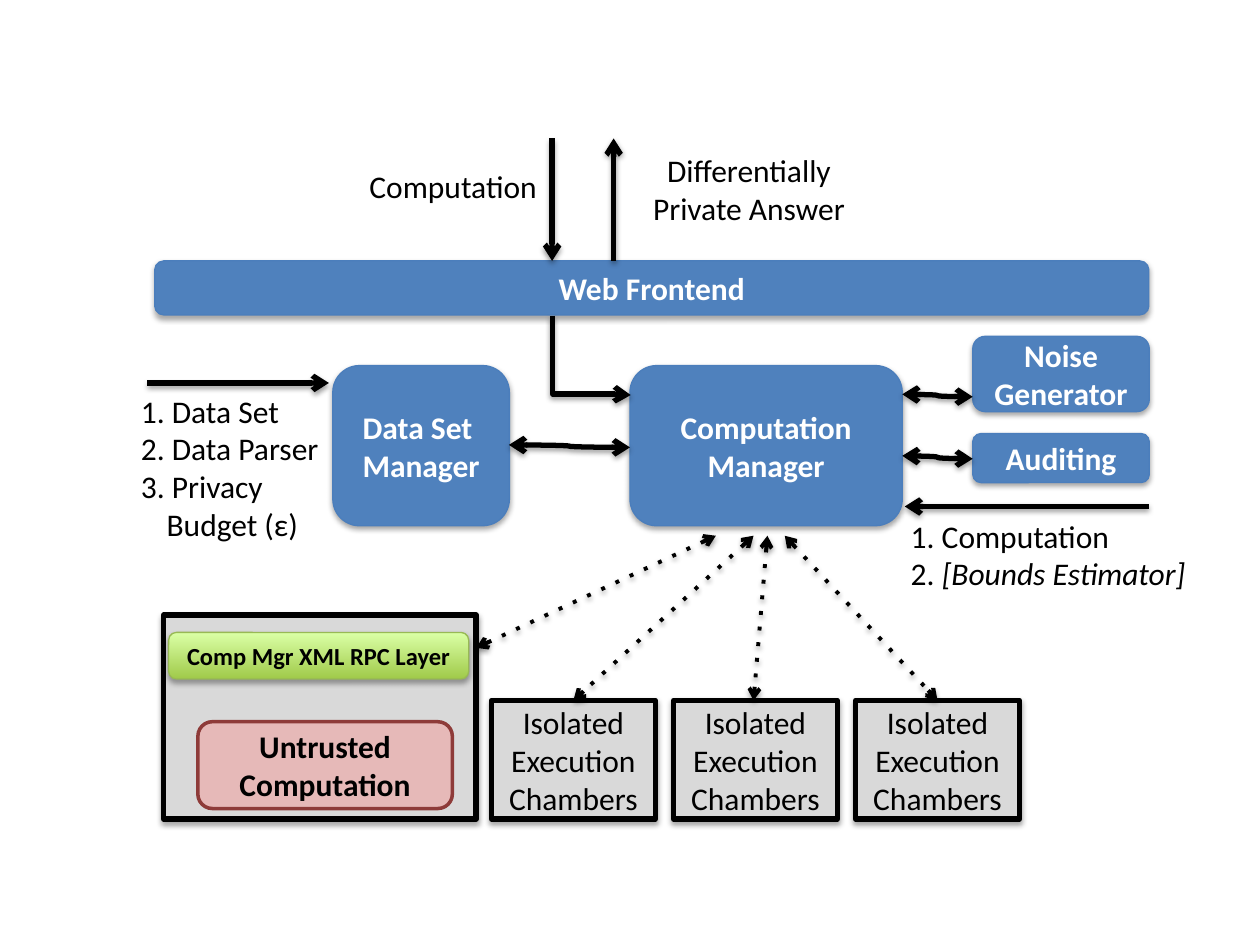
from dataclasses import dataclass
from typing import Any

from lxml import etree
from pptx import Presentation
from pptx.dml.color import RGBColor
from pptx.enum.shapes import MSO_CONNECTOR, MSO_SHAPE
from pptx.enum.text import MSO_ANCHOR, PP_ALIGN
from pptx.oxml.ns import qn
from pptx.util import Cm, Pt

ROUND, RECT = MSO_SHAPE.ROUNDED_RECTANGLE, MSO_SHAPE.RECTANGLE
LINE, BENT, CURVE = MSO_CONNECTOR.STRAIGHT, MSO_CONNECTOR.ELBOW, MSO_CONNECTOR.CURVE
LEFT, CENTER = PP_ALIGN.LEFT, PP_ALIGN.CENTER
BLACK, WHITE, BLUE, GRAY = "000000", "FFFFFF", "4F81BD", "D9D9D9"
LIME = ("A0CA4A", "DAFFA5")


@dataclass
class Box:
    """A filled shape; each line of text breaks at a newline."""
    at: tuple[float, float, float, float]
    text: str = ""
    fill: str | tuple[str, str] = BLUE
    edge: str = "4B7EBC"
    width: float = 0.75
    form: Any = ROUND
    color: str = WHITE
    bold: bool = True
    size: float = 18
    shade: bool = True


@dataclass
class Label:
    """Free text: paragraphs of (text, italic) runs."""
    at: tuple[float, float, float, float]
    paras: list[list[tuple[str, bool]]]
    align: Any = CENTER
    indents: tuple[float, ...] = ()


@dataclass
class Link:
    """An arrow with an end head and, if both is set, a start head."""
    start: tuple[float, float]
    end: tuple[float, float]
    kind: Any = LINE
    both: bool = False
    dots: bool = False


def rgb(code: str) -> RGBColor:
    """Turn a hex string into a colour."""
    return RGBColor.from_string(code)


def sub(node: Any, tag: str, **attrs: Any) -> Any:
    """Append a drawing element with attributes."""
    return etree.SubElement(node, qn(tag), {k: str(v) for k, v in attrs.items()})


def shadow(props: Any, alpha: int, dist: float) -> None:
    """Put a soft downward shadow into the shape properties."""
    effects = props.find(qn("a:effectLst"))
    if effects is None:
        effects = sub(props, "a:effectLst")
    outer = sub(effects, "a:outerShdw", blurRad=Pt(3.1), dist=Pt(dist),
                dir=5400000, rotWithShape=0)
    sub(sub(outer, "a:srgbClr", val=BLACK), "a:alpha", val=alpha * 1000)


def write(para: Any, text: str, size: float = 18, color: str = BLACK,
          bold: bool = False, italic: bool = False) -> None:
    """Add one styled run to a paragraph."""
    run = para.add_run()
    run.text = text
    font = run.font
    font.name, font.size, font.bold, font.italic = "Calibri", Pt(size), bold, italic
    font.color.rgb = rgb(color)


def draw_box(shapes: Any, box: Box) -> None:
    """Draw a box with its centred text."""
    shape = shapes.add_shape(box.form, *map(Cm, box.at))
    if isinstance(box.fill, tuple):
        shape.fill.gradient()
        shape.fill.gradient_angle = 90
        for stop, code, place in zip(shape.fill.gradient_stops, box.fill, (0, 1)):
            stop.color.rgb = rgb(code)
            stop.position = place
    else:
        shape.fill.solid()
        shape.fill.fore_color.rgb = rgb(box.fill)
    shape.line.color.rgb = rgb(box.edge)
    shape.line.width = Pt(box.width)
    shape.shadow.inherit = False
    if box.shade:
        shadow(shape._element.spPr, 35, 1.8)
    if not box.text:
        return
    frame = shape.text_frame
    frame.word_wrap = True
    frame.vertical_anchor = MSO_ANCHOR.MIDDLE
    para = frame.paragraphs[0]
    para.alignment = CENTER
    for i, part in enumerate(box.text.split("\n")):
        if i:
            para.add_line_break()
        write(para, part, box.size, box.color, box.bold)


def draw_label(shapes: Any, label: Label) -> None:
    """Draw a text box run by run."""
    frame = shapes.add_textbox(*map(Cm, label.at)).text_frame
    frame.word_wrap = True
    for i, runs in enumerate(label.paras):
        para = frame.add_paragraph() if i else frame.paragraphs[0]
        para.alignment = label.align
        if label.indents:
            para._p.get_or_add_pPr().set("marL", str(Cm(label.indents[i])))
        for text, italic in runs:
            write(para, text, italic=italic)


def draw_link(shapes: Any, link: Link) -> None:
    """Draw an arrow between two points."""
    wire = shapes.add_connector(link.kind, *map(Cm, link.start + link.end))
    wire.line.color.rgb = rgb(BLACK)
    wire.line.width = Pt(2.25 if link.dots else 3)
    props = wire._element.spPr
    stroke = props.find(qn("a:ln"))
    if link.dots:
        sub(stroke, "a:prstDash", val="dot")
    if link.both:
        sub(stroke, "a:headEnd", type="arrow")
    sub(stroke, "a:tailEnd", type="arrow")
    shadow(props, 38, 1.6)
    if link.kind == BENT:
        frame = props.find(qn("a:xfrm"))
        frame.set("rot", "16200000")
        frame.set("flipH", "1")
        guides = props.find(qn("a:prstGeom")).find(qn("a:avLst"))
        sub(guides, "a:gd", name="adj1", fmla="val 98800")


FLOOR, HUB = 14.12, 10.8
boxes = [
    Box((3.12, 5.26, 20.04, 1.09), "Web Frontend"),
    Box((6.71, 7.37, 3.56, 3.23), "Data Set \nManager"),
    Box((12.7, 7.37, 5.49, 3.23), "Computation Manager"),
    Box((19.61, 6.78, 3.56, 1.52), "Noise Generator"),
    Box((19.61, 8.74, 3.56, 0.99), "Auditing"),
    Box((3.3, 12.4, 6.3, 4.11), "", GRAY, BLACK, 3, RECT),
    Box((3.99, 14.55, 5.13, 1.75), "Untrusted Computation", "E6B9B8", "8E3B39", 2,
        color=BLACK, shade=False),
    Box((3.4, 12.75, 6.05, 0.94), "Comp Mgr XML RPC Layer", LIME, "98B955",
        color=BLACK, size=14),
]
boxes += [Box((9.91 + 3.67 * i, FLOOR, 3.3, 2.39), "Isolated Execution Chambers",
              GRAY, BLACK, 3, RECT, BLACK, False) for i in range(3)]

labels = [
    Label((7.04, 3.25, 4.19, 1.02), [[("Computation", False)]]),
    Label((12.37, 2.92, 5.46, 1.8), [[("Differentially Private Answer", False)]]),
    Label((2.59, 7.77, 4.5, 3.33),
          [[(t, False)] for t in ("1. Data Set", "2. Data Parser", "3. Privacy",
                                  "Budget (ε)")], LEFT, (0, 0, 0, 0.52)),
    Label((18.11, 10.29, 6.48, 1.8),
          [[("1. Computation", False)],
           [("2. ", False), ("[Bounds Estimator]", True)]], LEFT),
]

links = [
    Link((2.97, 7.72), (6.63, 7.72)),
    Link((11.13, 2.79), (11.13, 5.26)),
    Link((12.37, 5.26), (12.37, 2.79)),
    Link((23.16, 10.21), (18.24, 10.21)),
    Link((11.13, 6.38), (12.73, 7.95), BENT),
    Link((10.26, 8.97), (12.7, 9.02), CURVE, True),
    Link((18.19, 7.95), (19.61, 8), CURVE, True),
    Link((18.19, 9.19), (19.61, 9.25), CURVE, True),
]
links += [Link((x, HUB), end, both=True, dots=True) for x, end in (
    (14.43, (9.6, 13.06)), (15.19, (11.56, FLOOR)),
    (15.47, (15.19, FLOOR)), (15.82, (18.9, FLOOR)))]

deck = Presentation()
deck.slide_width, deck.slide_height = Cm(25.4), Cm(19.05)
shapes = deck.slides.add_slide(deck.slide_layouts[6]).shapes
for box in boxes:
    draw_box(shapes, box)
for label in labels:
    draw_label(shapes, label)
for link in links:
    draw_link(shapes, link)
deck.save("out.pptx")
